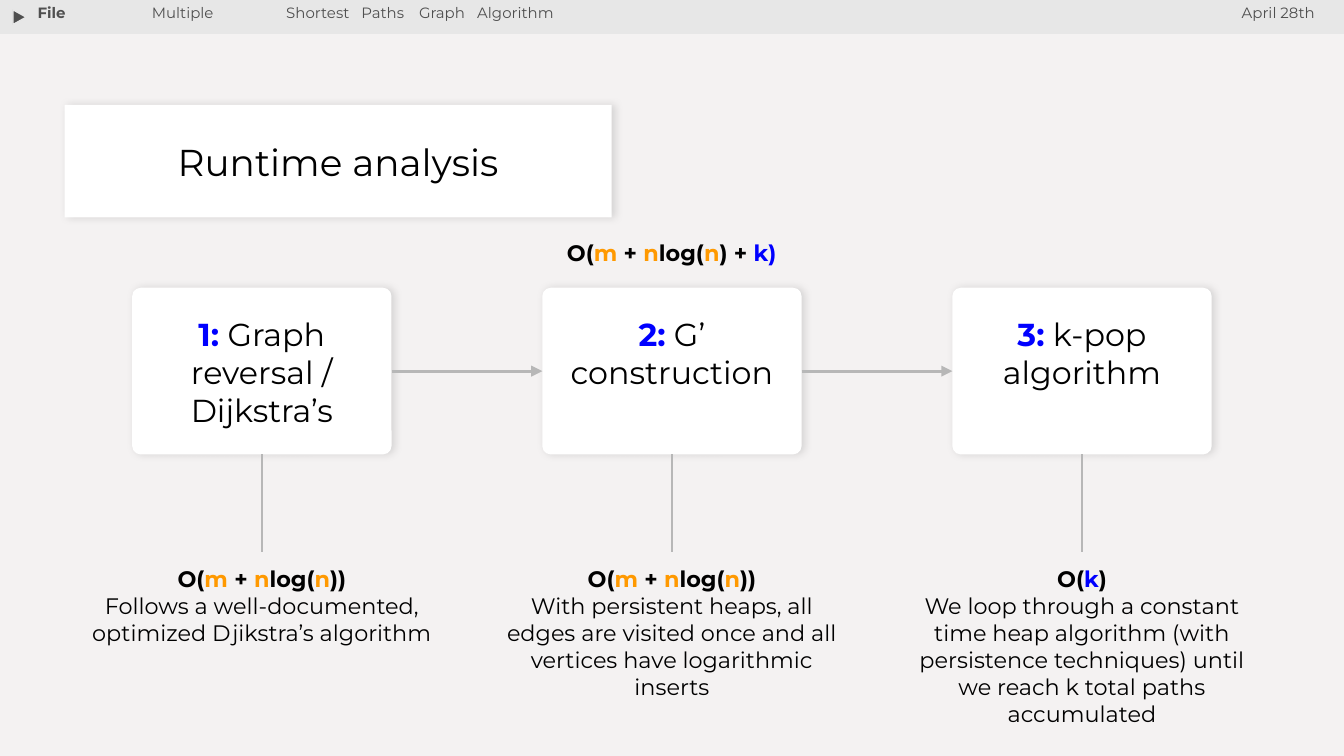
from dataclasses import dataclass

from lxml import etree
from pptx import Presentation
from pptx.dml.color import RGBColor
from pptx.enum.shapes import MSO_CONNECTOR, MSO_SHAPE
from pptx.enum.text import MSO_ANCHOR, MSO_AUTO_SIZE, PP_ALIGN
from pptx.oxml import parse_xml
from pptx.oxml.ns import nsdecls, qn
from pptx.util import Cm, Pt

LEFT, CENTER, RIGHT = PP_ALIGN.LEFT, PP_ALIGN.CENTER, PP_ALIGN.RIGHT
STRAIGHT = MSO_CONNECTOR.STRAIGHT
TOP_SITE, LEFT_SITE, BOTTOM_SITE, RIGHT_SITE = range(4)


@dataclass(frozen=True)
class Theme:
    font: str = "Montserrat"
    background: RGBColor = RGBColor(0xF4, 0xF2, 0xF2)
    bar: RGBColor = RGBColor(0xE7, 0xE7, 0xE7)
    menu: RGBColor = RGBColor(0x4F, 0x4F, 0x4F)
    card: RGBColor = RGBColor(0xFF, 0xFF, 0xFF)
    text: RGBColor = RGBColor(0, 0, 0)
    accent: RGBColor = RGBColor(0, 0, 0xFF)
    graph_size: RGBColor = RGBColor(0xFF, 0x99, 0)
    line: RGBColor = RGBColor(0xB7, 0xB7, 0xB7)
    menu_pt: Pt = Pt(8)
    note_pt: Pt = Pt(12)
    step_pt: Pt = Pt(17)
    title_pt: Pt = Pt(20)


theme = Theme()
black, blue, orange = theme.text, theme.accent, theme.graph_size


def write(paragraph, runs, size, align=CENTER, bold=False):
    """Fill a paragraph with (text, colour) runs; a third item overrides bold."""
    paragraph.alignment = align
    paragraph.font.name = theme.font
    paragraph.font.size = size
    paragraph.font.bold = bold
    for text, color, *weight in runs:
        run = paragraph.add_run()
        run.text = text
        run.font.color.rgb = color
        if weight:
            run.font.bold = weight[0]


def style_card(card):
    """White, borderless, with a faint shadow to the right."""
    card.fill.solid()
    card.fill.fore_color.rgb = theme.card
    card.line.fill.background()
    card.shadow.inherit = False
    card._element.spPr.find(qn("a:effectLst")).append(parse_xml(
        f'<a:outerShdw {nsdecls("a")} blurRad="{Pt(4.5)}" dist="{Pt(1.5)}" dir="0" '
        'algn="bl" rotWithShape="0"><a:srgbClr val="000000"><a:alpha val="12000"/>'
        '</a:srgbClr></a:outerShdw>'))


deck = Presentation()
deck.slide_width, deck.slide_height = Cm(25.4), Cm(14.29)
slide = deck.slides.add_slide(deck.slide_layouts[5])
shapes = slide.shapes
slide.background.fill.solid()
slide.background.fill.fore_color.rgb = theme.background

# Title card
title = shapes.title
title.left, title.top, title.width, title.height = Cm(1.22), Cm(1.98), Cm(10.34), Cm(2.13)
title._element.spPr.insert(1, parse_xml(
    f'<a:prstGeom {nsdecls("a")} prst="roundRect"><a:avLst>'
    '<a:gd name="adj" fmla="val 4900"/></a:avLst></a:prstGeom>'))
style_card(title)
title.text_frame.auto_size = MSO_AUTO_SIZE.NONE
title.text_frame.vertical_anchor = MSO_ANCHOR.MIDDLE
write(title.text_frame.paragraphs[0], [("Runtime analysis", black)], theme.title_pt)

# Menu bar
bar = shapes.add_shape(MSO_SHAPE.RECTANGLE, 0, 0, deck.slide_width, Cm(0.64))
play = shapes.add_shape(MSO_SHAPE.ISOSCELES_TRIANGLE, Cm(0.23), Cm(0.2), Cm(0.28), Cm(0.25))
play.rotation = 90
for part, color in ((bar, theme.bar), (play, theme.menu)):
    part.shadow.inherit = False
    part.fill.solid()
    part.fill.fore_color.rgb = color
    part.line.color.rgb = theme.bar
    part.line.width = Pt(0.75)

bound = [("O(", black), ("m ", orange), ("+ ", black), ("n", orange),
         ("log(", black), ("n", orange)]
total = bound + [(") + ", black), ("k)", blue)]

# Menu entries and the total running time: left, top, width, height in cm
labels = [
    (21.92, -0.1, 3.18, 0.86, [("April 28th", theme.menu)], theme.menu_pt, RIGHT, False),
    (0.46, -0.1, 3.25, 0.94, [("File", theme.menu)], theme.menu_pt, LEFT, True),
    (2.62, -0.1, 10.59, 0.86, [("Multiple\tShortest\tPaths\tGraph\tAlgorithm", theme.menu)],
     theme.menu_pt, LEFT, False),
    (8.53, 4.27, 8.33, 1.02, total, theme.note_pt, CENTER, True),
]
for left, top, width, height, runs, size, align, bold in labels:
    frame = shapes.add_textbox(Cm(left), Cm(top), Cm(width), Cm(height)).text_frame
    frame.word_wrap = True
    frame.margin_top = frame.margin_bottom = Cm(0.25)
    line = frame.paragraphs[0]
    write(line, runs, size, align, bold)
    if "\t" in line.text:
        tab_stops = etree.Element(qn("a:tabLst"))
        for position in (2.54, 3.96, 5.05, 6.15):
            etree.SubElement(tab_stops, qn("a:tab"), pos=str(Cm(position)), algn="l")
        line._p.get_or_add_pPr().insert(0, tab_stops)

# Three steps, each with its cost below
steps = [
    ("1:", " Graph reversal / Dijkstra’s", bound + [("))", black)],
     "Follows a well-documented, optimized Djikstra’s algorithm"),
    ("2:", " G’ construction", bound + [("))", black)],
     "With persistent heaps, all edges are visited once and all vertices have "
     "logarithmic inserts"),
    ("3:", " k-pop algorithm", [("O(", black), ("k", blue), (")", black)],
     "We loop through a constant time heap algorithm (with persistence techniques) "
     "until we reach k total paths accumulated"),
]
step_width, note_width, pitch = Cm(4.9), Cm(7.09), Cm(7.75)
links = []
previous = None
for index, (number, name, cost, reason) in enumerate(steps):
    center = deck.slide_width // 2 + (index - 1) * pitch
    step = shapes.add_shape(MSO_SHAPE.ROUNDED_RECTANGLE, center - step_width // 2,
                            Cm(5.44), step_width, Cm(3.15))
    step.adjustments[0] = 0.05
    style_card(step)
    frame = step.text_frame
    frame.word_wrap = True
    frame.vertical_anchor = MSO_ANCHOR.TOP
    frame.margin_top = Cm(0.47)
    write(frame.paragraphs[0], [(number, blue, True), (name, black)], theme.step_pt)

    note = shapes.add_textbox(center - note_width // 2, Cm(10.44), note_width, Cm(2.62))
    frame = note.text_frame
    frame.word_wrap = True
    frame.margin_top = frame.margin_bottom = Cm(0.25)
    write(frame.paragraphs[0], cost, theme.note_pt, bold=True)
    write(frame.add_paragraph(), [(reason, black)], theme.note_pt)

    links.append((step, BOTTOM_SITE, note, TOP_SITE, False))
    if previous is not None:
        links.append((previous, RIGHT_SITE, step, LEFT_SITE, True))
    previous = step

for source, source_site, target, target_site, has_arrow in links:
    link = shapes.add_connector(STRAIGHT, 0, 0, 0, 0)
    link.begin_connect(source, source_site)
    link.end_connect(target, target_site)
    link.line.color.rgb = theme.line
    link.line.width = Pt(1.5)
    if has_arrow:
        etree.SubElement(link.line._get_or_add_ln(), qn("a:tailEnd"), type="triangle")
    etree.SubElement(link._element.spPr, qn("a:effectLst"))

deck.save("out.pptx")
